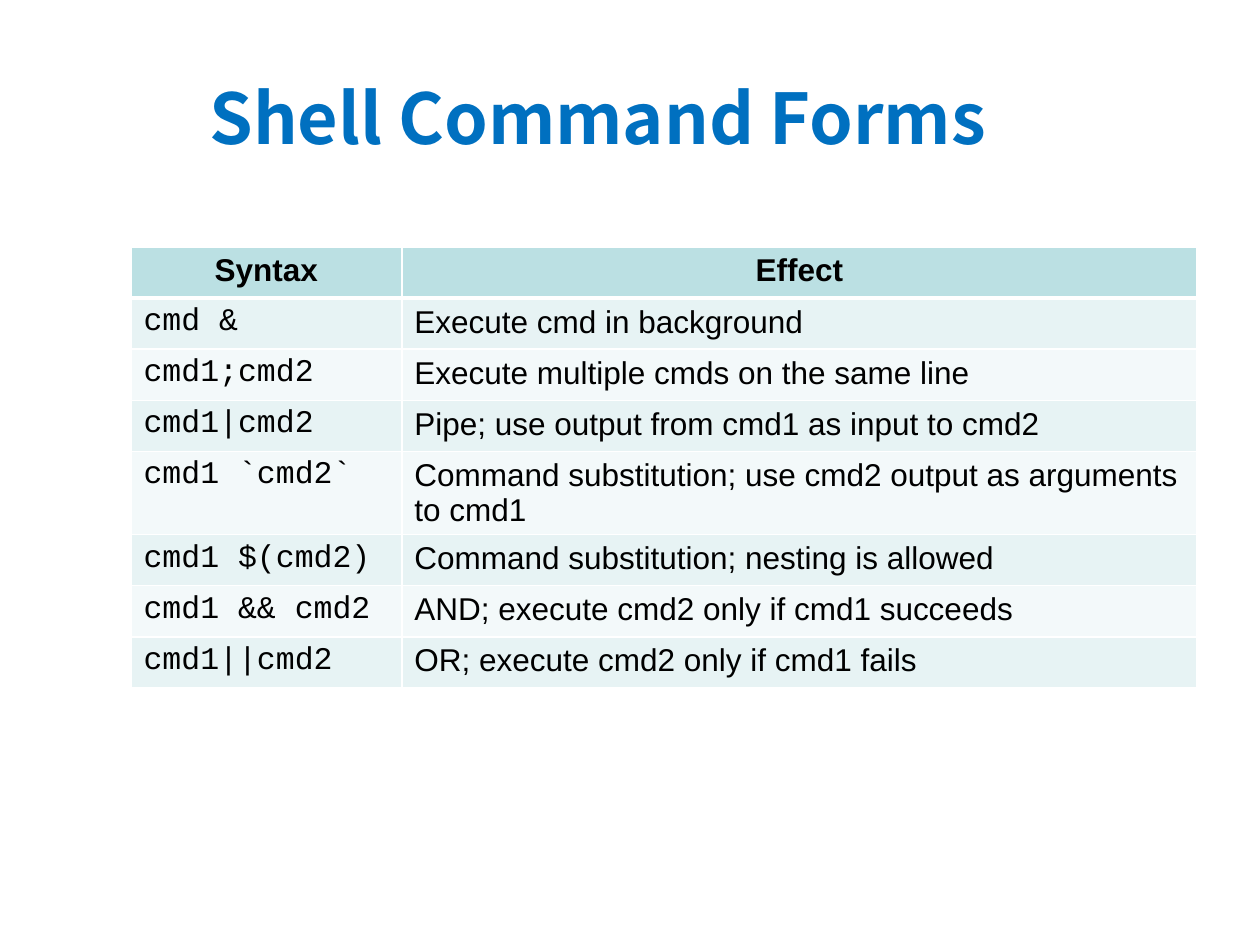
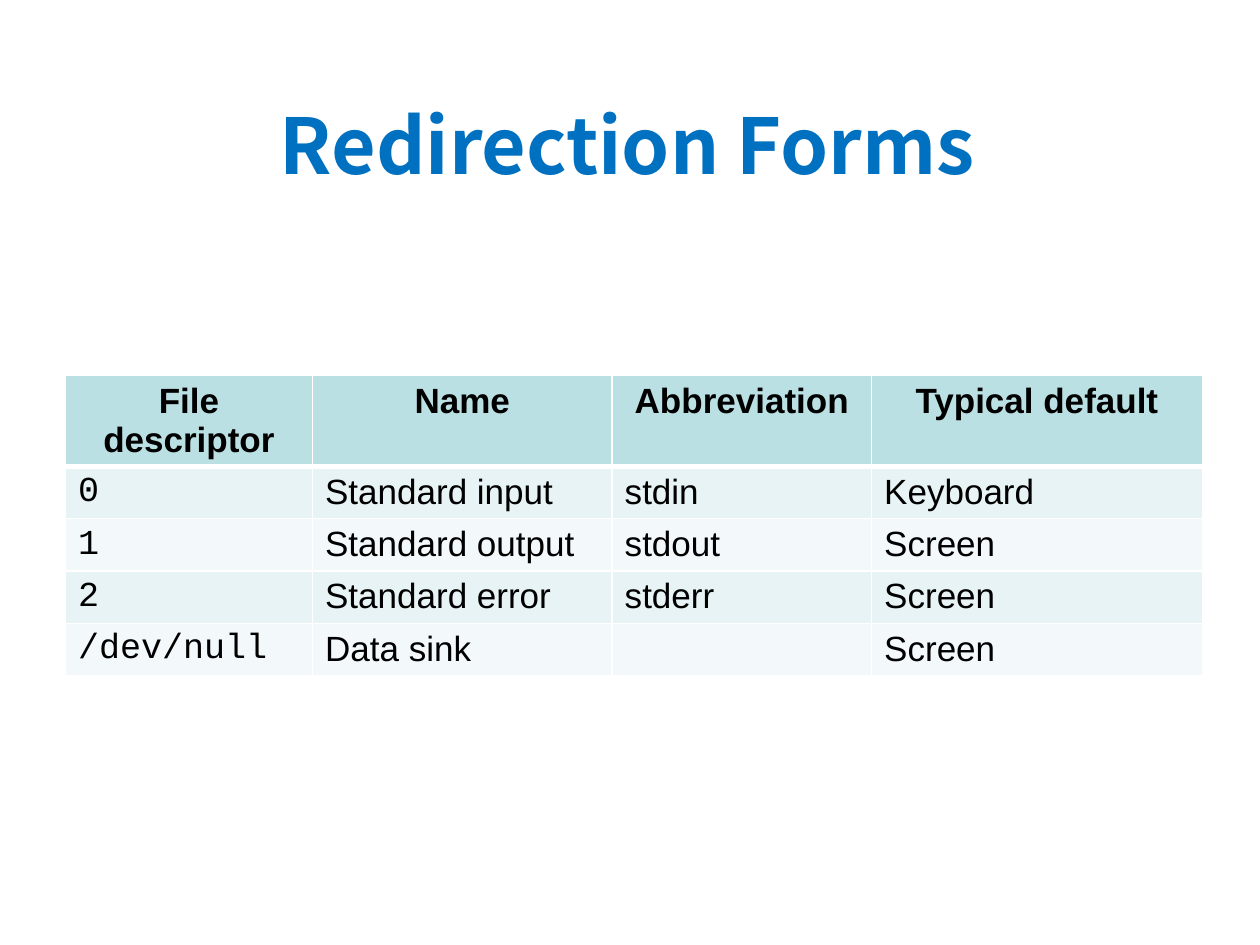
from lxml.etree import SubElement
from pptx import Presentation
from pptx.dml.color import RGBColor
from pptx.enum.text import MSO_ANCHOR, MSO_AUTO_SIZE, PP_ALIGN
from pptx.oxml.ns import qn
from pptx.util import Cm, Pt

TITLE_FONT = "Noto Sans CJK SC"
BODY_FONT = "Arial"
CODE_FONT = "Courier New"
TITLE_COLOR = "0070C0"
TEXT_COLOR = "000000"
BORDER_COLOR = "FFFFFF"
HEADER_FILL = "BBE0E3"
BAND_FILLS = ("E7F3F4", "F3F9FA")
ROW_HEIGHT = 1.03
THIN, THICK = 1, 3

SLIDES = [
    {
        "title": "Shell Command Forms",
        "title_size": 40,
        "title_box": (1.6, 0.76, 20.9, 3.18),
        "table_corner": (2.64, 4.98),
        "column_widths": (5.46, 16.03),
        "text_size": 18,
        "header": ("Syntax", "Effect"),
        "rows": [
            ("cmd &", "Execute cmd in background"),
            ("cmd1;cmd2", "Execute multiple cmds on the same line"),
            ("cmd1|cmd2", "Pipe; use output from cmd1 as input to cmd2"),
            ("cmd1 `cmd2`", "Command substitution; use cmd2 output as arguments to cmd1"),
            ("cmd1 $(cmd2)", "Command substitution; nesting is allowed"),
            ("cmd1 && cmd2", "AND; execute cmd2 only if cmd1 succeeds"),
            ("cmd1||cmd2", "OR; execute cmd2 only if cmd1 fails"),
        ],
    },
    {
        "title": "Redirection Forms",
        "title_size": 44,
        "title_box": (1.32, 1.3, 22.66, 3.18),
        "table_corner": (1.32, 7.57),
        "column_widths": (4.98, 6.04, 5.23, 6.67),
        "text_size": 20,
        "header": ("File descriptor", "Name", "Abbreviation", "Typical default"),
        "rows": [
            ("0", "Standard input", "stdin", "Keyboard"),
            ("1", "Standard output", "stdout", "Screen"),
            ("2", "Standard error", "stderr", "Screen"),
            ("/dev/null", "Data sink", "", "Screen"),
        ],
    },
]


def color(hex_string):
    return RGBColor.from_string(hex_string)


def add_run(paragraph, text, font_name, size, hex_string, bold):
    run = paragraph.add_run()
    run.text = text
    run.font.name = font_name
    run.font.size = Pt(size)
    run.font.bold = bold
    run.font.color.rgb = color(hex_string)


def add_title(slide, content):
    title = slide.shapes.title
    title.left, title.top, title.width, title.height = map(Cm, content["title_box"])
    frame = title.text_frame
    frame.auto_size = MSO_AUTO_SIZE.NONE
    frame.vertical_anchor = MSO_ANCHOR.MIDDLE
    paragraph = frame.paragraphs[0]
    paragraph.alignment = PP_ALIGN.CENTER
    add_run(paragraph, content["title"], TITLE_FONT, content["title_size"], TITLE_COLOR, True)


def set_borders(cell, top, bottom):
    properties = cell._tc.get_or_add_tcPr()
    for side, width in (("L", THIN), ("R", THIN), ("T", top), ("B", bottom)):
        line = SubElement(properties, qn(f"a:ln{side}"), w=str(Pt(width)))
        fill = SubElement(line, qn("a:solidFill"))
        SubElement(fill, qn("a:srgbClr"), val=BORDER_COLOR)


def format_cell(cell, text, row, column, size):
    is_header = row == 0
    set_borders(cell, THICK if row == 1 else THIN, THICK if is_header else THIN)
    cell.fill.solid()
    cell.fill.fore_color.rgb = color(HEADER_FILL if is_header else BAND_FILLS[(row - 1) % 2])
    if text:
        paragraph = cell.text_frame.paragraphs[0]
        paragraph.alignment = PP_ALIGN.CENTER if is_header else PP_ALIGN.LEFT
        font_name = CODE_FONT if column == 0 and not is_header else BODY_FONT
        add_run(paragraph, text, font_name, size, TEXT_COLOR, is_header)


def add_table(slide, content):
    rows = [content["header"], *content["rows"]]
    widths = content["column_widths"]
    left, top = content["table_corner"]
    table = slide.shapes.add_table(
        len(rows), len(widths), Cm(left), Cm(top), Cm(sum(widths)), Cm(ROW_HEIGHT * len(rows))
    ).table
    for column, width in enumerate(widths):
        table.columns[column].width = Cm(width)
    for row, texts in enumerate(rows):
        table.rows[row].height = Cm(ROW_HEIGHT)
        for column, text in enumerate(texts):
            format_cell(table.cell(row, column), text, row, column, content["text_size"])


def main():
    presentation = Presentation()
    presentation.slide_width = Cm(25.4)
    presentation.slide_height = Cm(19.05)
    title_only = presentation.slide_layouts.get_by_name("Title Only")
    for content in SLIDES:
        slide = presentation.slides.add_slide(title_only)
        add_title(slide, content)
        add_table(slide, content)
    presentation.save("out.pptx")


if __name__ == "__main__":
    main()
